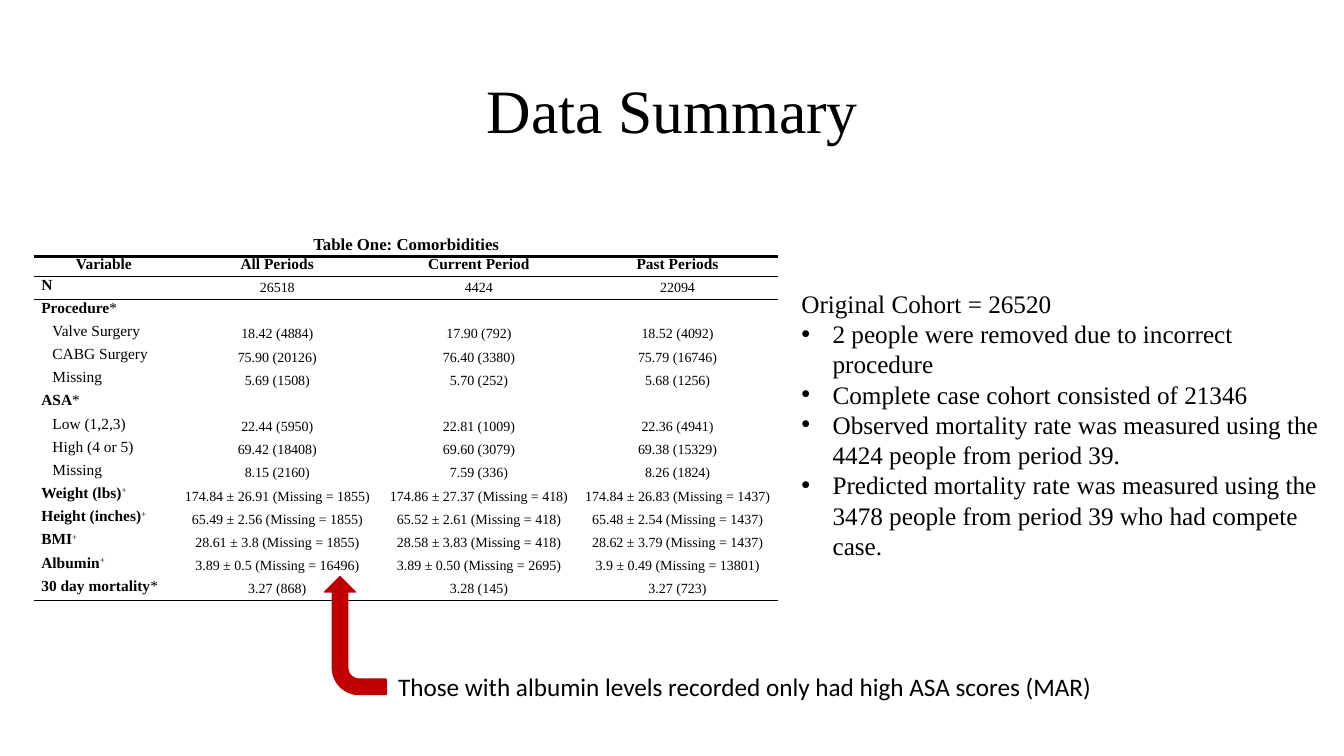
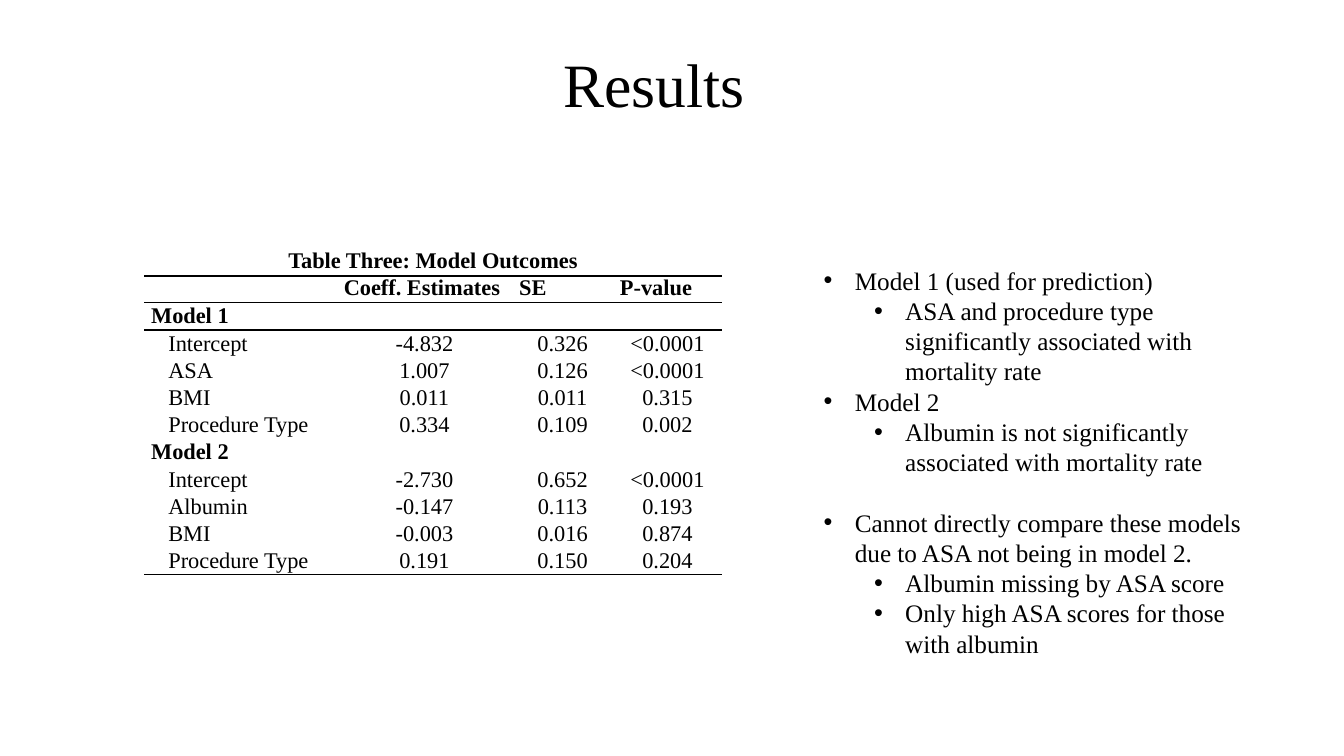
from lxml.etree import SubElement
from pptx import Presentation
from pptx.dml.color import RGBColor
from pptx.enum.shapes import MSO_SHAPE as Shape
from pptx.enum.text import MSO_ANCHOR as Anchor, PP_ALIGN as Align
from pptx.oxml.ns import qn
from pptx.util import Emu, Pt

PX = 9144
SERIF, SANS = "Times New Roman", "Calibri"
COLORS = {"ink": "000000", "arrow": "C00000"}
PLAIN = "{2D5ABB26-0587-4C30-8999-92F81FD0307C}"

COHORT = {
    "at": (34, 234), "cols": (138, 206, 194, 200), "rows": (19, 20, 23),
    "sizes": (12, 11, 11, 10), "rule": 2.5, "inset": 11,
    "head_align": Align.CENTER, "anchor": Anchor.TOP,
    "title": "Table One: Comorbidities",
    "head": ("Variable", "All Periods", "Current Period", "Past Periods"),
    "body": [
        ("N", "", ("26518", "4424", "22094")),
        ("Procedure", "*", ("", "", "")),
        ("Valve Surgery", None, ("18.42 (4884)", "17.90 (792)", "18.52 (4092)")),
        ("CABG Surgery", None, ("75.90 (20126)", "76.40 (3380)", "75.79 (16746)")),
        ("Missing", None, ("5.69 (1508)", "5.70 (252)", "5.68 (1256)")),
        ("ASA", "*", ("", "", "")),
        ("Low (1,2,3)", None, ("22.44 (5950)", "22.81 (1009)", "22.36 (4941)")),
        ("High (4 or 5)", None, ("69.42 (18408)", "69.60 (3079)", "69.38 (15329)")),
        ("Missing", None, ("8.15 (2160)", "7.59 (336)", "8.26 (1824)")),
        ("Weight (lbs)", "+", ("174.84 ± 26.91 (Missing = 1855)",
                               "174.86 ± 27.37 (Missing = 418)",
                               "174.84 ± 26.83 (Missing = 1437)")),
        ("Height (inches)", "+", ("65.49 ± 2.56 (Missing = 1855)",
                                  "65.52 ± 2.61 (Missing = 418)",
                                  "65.48 ± 2.54 (Missing = 1437)")),
        ("BMI", "+", ("28.61 ± 3.8 (Missing = 1855)",
                      "28.58 ± 3.83 (Missing = 418)",
                      "28.62 ± 3.79 (Missing = 1437)")),
        ("Albumin", "+", ("3.89 ± 0.5 (Missing = 16496)",
                          "3.89 ± 0.50 (Missing = 2695)",
                          "3.9 ± 0.49 (Missing = 13801)")),
        ("30 day mortality", "*", ("3.27 (868)", "3.28 (145)", "3.27 (723)")),
    ],
}
MODELS = {
    "at": (143, 247), "cols": (191, 174, 100, 108), "rows": (25, 25, 27),
    "sizes": (16, 16, 16, 16), "rule": 1.5, "inset": 17,
    "head_align": Align.LEFT, "anchor": Anchor.MIDDLE,
    "title": "Table Three: Model Outcomes",
    "head": ("", "Coeff. Estimates", "SE", "P-value"),
    "body": [
        ("Model 1", "", ("", "", "")),
        ("Intercept", None, ("-4.832", "0.326", "<0.0001")),
        ("ASA", None, ("1.007", "0.126", "<0.0001")),
        ("BMI", None, ("0.011", "0.011", "0.315")),
        ("Procedure Type", None, ("0.334", "0.109", "0.002")),
        ("Model 2", "", ("", "", "")),
        ("Intercept", None, ("-2.730", "0.652", "<0.0001")),
        ("Albumin", None, ("-0.147", "0.113", "0.193")),
        ("BMI", None, ("-0.003", "0.016", "0.874")),
        ("Procedure Type", None, ("0.191", "0.150", "0.204")),
    ],
}
SLIDES = [
    {"title": "Data Summary", "box": (92, 40, 1150, 145), "align": Align.CENTER,
     "table": COHORT, "notes_box": (785, 281, 537, 284),
     "notes": [
         (None, "Original Cohort = 26520", 0),
         (0, "2 people were removed due to incorrect procedure", 0),
         (0, "Complete case cohort consisted of 21346", 0),
         (0, "Observed mortality rate was measured using the 4424 people from period 39.", 0),
         (0, "Predicted mortality rate was measured using the 3478 people from period 39 "
             "who had compete case.", 0)],
     "callout": "Those with albumin levels recorded only had high ASA scores (MAR)"},
    {"title": "Results", "box": (549, 14, 214, 145), "align": Align.LEFT,
     "table": MODELS, "notes_box": (807, 258, 435, 434),
     "notes": [
         (0, "Model 1 (used for prediction)", 0),
         (1, "ASA and procedure type significantly associated with mortality rate", 0),
         (0, "Model 2", 0),
         (1, "Albumin is not significantly associated with mortality rate", 0),
         (0, "Cannot directly compare these models due to ASA not being in model 2.", 21.6),
         (1, "Albumin missing by ASA score", 0),
         (1, "Only high ASA scores for those with albumin", 0)]},
]


def px(*vals):
    """Turn px lengths into EMU."""
    return [Emu(v * PX) for v in vals]


def tint(name):
    """Give a named colour."""
    return RGBColor.from_string(COLORS[name])


def style(para, size, face=SERIF, bold=False, align=Align.LEFT):
    """Set the font and alignment of a paragraph."""
    para.alignment = align
    font = para.font
    font.size, font.name, font.bold = Pt(size), face, bold
    font.color.rgb = tint("ink")


def add_text(slide, box, text, size, face=SERIF, wrap=True, align=Align.LEFT):
    """Add a text box and return its frame."""
    frame = slide.shapes.add_textbox(*px(*box)).text_frame
    frame.word_wrap = wrap
    para = frame.paragraphs[0]
    para.text = text
    style(para, size, face, align=align)
    return frame


def add_notes(slide, box, notes):
    """Add the bulleted notes beside the table."""
    frame = add_text(slide, box, notes[0][1], 18)
    for i, (level, text, gap) in enumerate(notes):
        para = frame.add_paragraph() if i else frame.paragraphs[0]
        para.text = text
        style(para, 18)
        para.space_before = Pt(gap)
        if level is None:
            continue
        para.level = level
        props = para._p.get_or_add_pPr()
        props.set("marL", str((31 + 50 * level) * PX))
        props.set("indent", str(-31 * PX))
        face = SubElement(props, qn("a:buFont"), typeface="Arial")
        face.addnext(SubElement(props, qn("a:buChar"), char="•"))
        props.append(props.find(qn("a:defRPr")))


def add_rule(cell, side, width):
    """Draw one border of a cell."""
    props = cell._tc.get_or_add_tcPr()
    line = SubElement(props, qn("a:ln" + side), w=str(Pt(width)))
    fill = SubElement(line, qn("a:solidFill"))
    SubElement(fill, qn("a:srgbClr"), val=COLORS["ink"])


def fill_cell(cell, text, size, bold, align, anchor, rules, mark="", inset=0):
    """Write one cell with its borders."""
    cell.margin_left, cell.margin_right = px(7 + inset, 7)
    cell.margin_top = cell.margin_bottom = 0
    cell.vertical_anchor = anchor
    para = cell.text_frame.paragraphs[0]
    style(para, size, bold=bold, align=align)
    if text:
        para.add_run().text = text
    else:
        SubElement(para._p, qn("a:endParaRPr"), sz=str(size * 100))
    if mark:
        run = para.add_run()
        run.text = mark
        run.font.bold = False
        if mark == "+":
            run._r.get_or_add_rPr().set("baseline", "30000")
    for side, width in zip("TB", rules):
        if width:
            add_rule(cell, side, width)
    cell.fill.background()


def add_grid(slide, data):
    """Add a ruled table with a title, a head and a body."""
    count = len(data["body"])
    top, head, row = data["rows"]
    highs = [top, head] + [row] * count
    size = (sum(data["cols"]), sum(highs))
    grid = slide.shapes.add_table(count + 2, 4, *px(*data["at"], *size)).table
    grid.first_row = grid.horz_banding = False
    grid._tbl.tblPr.find(qn("a:tableStyleId")).text = PLAIN
    for part, length in zip([*grid.columns], px(*data["cols"])):
        part.width = length
    for part, length in zip([*grid.rows], px(*highs)):
        part.height = length
    big, mid, label, small = data["sizes"]
    rule, anchor = data["rule"], data["anchor"]
    for c, text in enumerate((data["title"], "", "", "")):
        fill_cell(grid.cell(0, c), text, big, True, Align.CENTER, Anchor.TOP, (0, rule))
    grid.cell(0, 0).merge(grid.cell(0, 3))
    for c, text in enumerate(data["head"]):
        fill_cell(grid.cell(1, c), text, mid, True, data["head_align"], Anchor.TOP, (rule, 1))
    for r, (name, mark, vals) in enumerate(data["body"], 2):
        rules = (r == 2, r == count + 1)
        sub = mark is None
        fill_cell(grid.cell(r, 0), name, label, not sub, Align.LEFT, anchor, rules,
                  mark, data["inset"] if sub else 0)
        for c, text in enumerate(vals, 1):
            fill_cell(grid.cell(r, c), text, small, False, Align.CENTER, Anchor.MIDDLE, rules)


def add_callout(slide, text):
    """Add the bent arrow and its remark."""
    arrow = slide.shapes.add_shape(Shape.BENT_ARROW, *px(294, 600, 117, 61))
    arrow.rotation = 270
    arrow.shadow.inherit = False
    arrow.fill.solid()
    arrow.fill.fore_color.rgb = arrow.line.color.rgb = tint("arrow")
    arrow.line.width = Pt(1)
    add_text(slide, (385, 661, 716, 40), text, 18, SANS, wrap=False)


def main():
    """Build the deck."""
    deck = Presentation()
    deck.slide_width, deck.slide_height = px(1333, 750)
    for page in SLIDES:
        slide = deck.slides.add_slide(deck.slide_layouts[6])
        frame = add_text(slide, page["box"], page["title"], 44, align=page["align"])
        frame.vertical_anchor = Anchor.MIDDLE
        frame.paragraphs[0].line_spacing = 0.9
        add_notes(slide, page["notes_box"], page["notes"])
        add_grid(slide, page["table"])
        if "callout" in page:
            add_callout(slide, page["callout"])
    deck.save("out.pptx")


if __name__ == "__main__":
    main()
